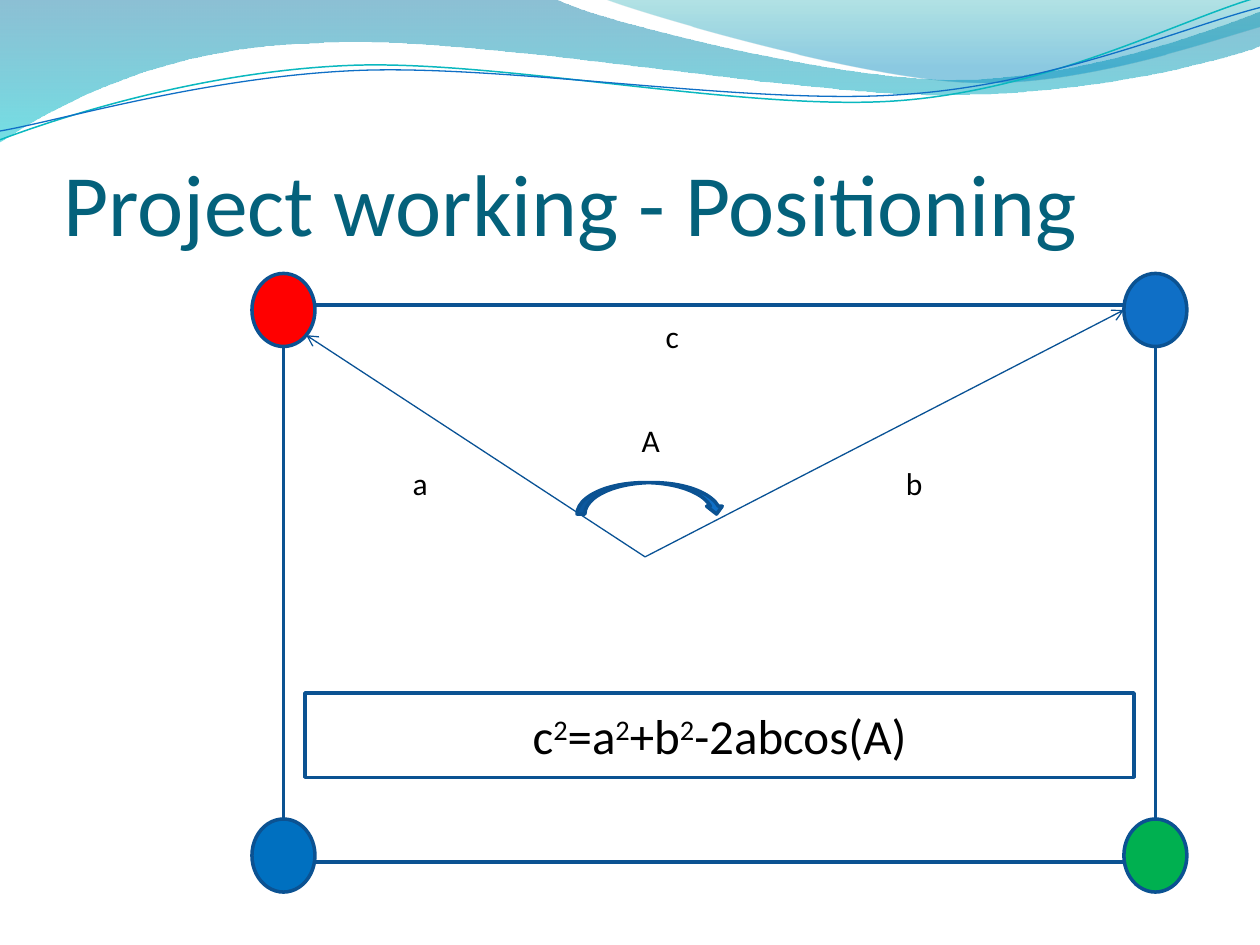
from dataclasses import dataclass

import pptx
import pptx.dml.color
import pptx.enum.shapes
import pptx.enum.text
import pptx.oxml
import pptx.oxml.ns
import pptx.util

Shapes = pptx.enum.shapes.MSO_SHAPE
Align = pptx.enum.text.PP_ALIGN
Anchor = pptx.enum.text.MSO_ANCHOR
Point = tuple[float, float]


@dataclass(frozen=True)
class Theme:
    font: str = "Calibri"
    title: str = "04617B"
    text: str = "000000"
    outline: str = "0B5292"
    arrow: str = "095295"
    blue: str = "0F6FC6"
    title_size: float = 50
    formula_size: float = 28
    label_size: float = 18
    outline_width: float = 2
    arrow_width: float = 0.75


@dataclass(frozen=True)
class Stop:
    position: float
    color: str
    opacity: int


@dataclass(frozen=True)
class Wave:
    """A start point, then steps of one point (line) or three (Bezier curve)."""
    start: Point
    steps: list[tuple[Point, ...]]
    stops: tuple[Stop, ...] = ()
    line: str = ""
    width: float = 0


@dataclass(frozen=True)
class Beacon:
    x: float
    y: float
    color: str


@dataclass(frozen=True)
class Label:
    text: str
    left: float
    top: float


THEME = Theme()
FRAME_LEFT, FRAME_RIGHT, FRAME_TOP, FRAME_BOTTOM = 2.25, 9.17, 2.42, 6.84
BEACON_TOP, BEACON_BOTTOM = 2.46, 6.79
BEACON_SIZE = (0.5, 0.58)
LABEL_SIZE = (0.67, 0.33)
RECEIVER = (5.12, 4.42)

WAVES = [
    Wave((0, 0), [
        ((4.4, -0.01),),
        ((4.76, 0.17), (6.64, 0.63), (7.58, 0.63)),
        ((8.53, 0.63), (9.58, 0.26), (10, 0.09)),
        ((10.01, 0.36),),
        ((9.83, 0.44), (8.7, 0.76), (7.46, 0.75)),
        ((6.22, 0.75), (3.82, 0.28), (2.57, 0.34)),
        ((1.29, 0.36), (0.46, 0.83), (-0.01, 1.13)),
    ], stops=(Stop(0, "0074A1", 45), Stop(1, "00C6CF", 55))),
    Wave((4.79, -0.01), [
        ((5.09, 0.11), (6.82, 0.62), (7.69, 0.65)),
        ((8.56, 0.69), (9.61, 0.32), (10, 0.21)),
        ((10, 0),),
    ], stops=(Stop(0, "00A1A9", 30), Stop(0.8, "008BBF", 45))),
    Wave((0, 1.11), [
        ((0.48, 0.93), (1.58, 0.57), (2.77, 0.52)),
        ((3.95, 0.47), (5.93, 0.89), (7.13, 0.8)),
        ((8.33, 0.71), (9.38, 0.15), (9.98, -0.02)),
    ], line="0AB8BF", width=0.85),
    Wave((0, 1.04), [
        ((0.47, 0.96), (1.64, 0.61), (2.83, 0.56)),
        ((4.03, 0.51), (5.97, 0.84), (7.17, 0.75)),
        ((8.36, 0.67), (9.41, 0.21), (10, 0.06)),
    ], line=THEME.blue, width=0.75),
]
BEACONS = [
    Beacon(FRAME_LEFT, BEACON_TOP, "FF0000"),
    Beacon(FRAME_RIGHT, BEACON_TOP, THEME.blue),
    Beacon(FRAME_RIGHT, BEACON_BOTTOM, "00B050"),
    Beacon(FRAME_LEFT, BEACON_BOTTOM, "0070C0"),
]
LABELS = [Label("a", 3, 3.67), Label("b", 6.92, 3.67), Label("A", 4.83, 3.33), Label("c", 5, 2.5)]


def length(inches: float) -> pptx.util.Length:
    return pptx.util.Cm(inches * 2.54)


def rgb(color: str) -> pptx.dml.color.RGBColor:
    return pptx.dml.color.RGBColor.from_string(color)


def add_child(parent, tag: str, **attributes: str):
    child = parent.makeelement(pptx.oxml.ns.qn(tag), attributes)
    parent.append(child)
    return child


def write(shape, text: str, *, size: float, color: str = THEME.text,
          align=Align.CENTER, anchor=Anchor.MIDDLE) -> None:
    """Fill the shape with one paragraph; the character after ^ is superscript."""
    frame = shape.text_frame
    frame.word_wrap = True
    frame.auto_size = pptx.enum.text.MSO_AUTO_SIZE.NONE
    frame.vertical_anchor = anchor
    para = frame.paragraphs[0]
    para.alignment = align
    first, *rest = text.split("^")
    pieces = [(first, False)]
    for part in rest:
        pieces += [(part[0], True), (part[1:], False)]
    for piece, raised in pieces:
        span = para.add_run()
        span.text = piece
        span.font.name = THEME.font
        span.font.size = pptx.util.Pt(size)
        span.font.color.rgb = rgb(color)
        if raised:
            span.font._element.set("baseline", "30000")


def set_line(shape, color: str, width: float) -> None:
    shape.line.color.rgb = rgb(color)
    shape.line.width = pptx.util.Pt(width)


def add_outlined(page, kind, left: float, top: float, width: float, height: float, fill: str = ""):
    shape = page.shapes.add_shape(kind, *map(length, (left, top, width, height)))
    shape.shadow.inherit = False
    set_line(shape, THEME.outline, THEME.outline_width)
    if fill:
        shape.fill.solid()
        shape.fill.fore_color.rgb = rgb(fill)
    else:
        shape.fill.background()
    return shape


def bend(shape, steps: list[tuple[Point, ...]]) -> None:
    """Turn the straight segments of three-point steps into Bezier curves."""
    segments = shape.element.spPr.findall(".//" + pptx.oxml.ns.qn("a:lnTo"))
    for segment, step in zip(segments, steps):
        if len(step) == 1:
            continue
        curve = segment.makeelement(pptx.oxml.ns.qn("a:cubicBezTo"), {})
        for x, y in step:
            add_child(curve, "a:pt", x=str(length(x) - shape.left), y=str(length(y) - shape.top))
        segment.getparent().replace(segment, curve)


def add_wave(page, wave: Wave) -> None:
    ends = [(length(x), length(y)) for x, y in (wave.start, *(step[-1] for step in wave.steps))]
    builder = page.shapes.build_freeform(*ends[0], scale=1.0)
    builder.add_line_segments(ends[1:], close=bool(wave.stops))
    shape = builder.convert_to_shape()
    bend(shape, wave.steps)
    shape.shadow.inherit = False
    if not wave.stops:
        shape.fill.background()
        set_line(shape, wave.line, wave.width)
        return
    shape.line.fill.background()
    shape.fill.gradient()
    shape.fill.gradient_angle = 270
    for target, stop in zip(shape.fill.gradient_stops, wave.stops):
        target.position = stop.position
        target.color.rgb = rgb(stop.color)
    colors = shape.element.spPr.findall(".//" + pptx.oxml.ns.qn("a:srgbClr"))
    for color, stop in zip(colors, wave.stops):
        add_child(color, "a:alpha", val=str(stop.opacity * 1000))


def add_arrow(page, start: Point, end: Point) -> None:
    arrow = page.shapes.add_connector(pptx.enum.shapes.MSO_CONNECTOR.STRAIGHT,
                                      *map(length, (*start, *end)))
    set_line(arrow, THEME.arrow, THEME.arrow_width)
    add_child(arrow.line._get_or_add_ln(), "a:tailEnd", type="arrow")
    add_child(arrow.element.spPr, "a:effectLst")


def add_title(page, text: str) -> None:
    title = page.shapes.title
    page.shapes.element.append(title.element)
    title.left, title.top, title.width, title.height = map(length, (0.5, 0.77, 9, 1.25))
    frame = title.text_frame
    frame.margin_left = frame.margin_right = frame.margin_bottom = 0
    write(title, text, size=THEME.title_size, color=THEME.title, align=Align.LEFT, anchor=Anchor.BOTTOM)


def main() -> None:
    deck = pptx.Presentation()
    deck.slide_width, deck.slide_height = length(10), length(7.5)
    page = deck.slides.add_slide(deck.slide_layouts[5])
    for wave in WAVES:
        add_wave(page, wave)
    add_title(page, "Project working - Positioning")
    add_outlined(page, Shapes.RECTANGLE, FRAME_LEFT, FRAME_TOP,
                 FRAME_RIGHT - FRAME_LEFT, FRAME_BOTTOM - FRAME_TOP)
    width, height = BEACON_SIZE
    for beacon in BEACONS:
        add_outlined(page, Shapes.OVAL, beacon.x - width / 2, beacon.y - height / 2,
                     width, height, beacon.color)
    for target in ((2.43, 2.66), (8.92, BEACON_TOP)):
        add_arrow(page, RECEIVER, target)
    add_outlined(page, Shapes.CURVED_DOWN_ARROW, 4.58, 3.83, 1.17, 0.25, THEME.blue)
    for label in LABELS:
        box = page.shapes.add_textbox(*map(length, (label.left, label.top, *LABEL_SIZE)))
        write(box, label.text, size=THEME.label_size)
    formula = add_outlined(page, Shapes.RECTANGLE, 2.42, 5.5, 6.58, 0.67)
    write(formula, "c^2=a^2+b^2-2abcos(A)", size=THEME.formula_size)
    deck.save("out.pptx")


if __name__ == "__main__":
    main()
